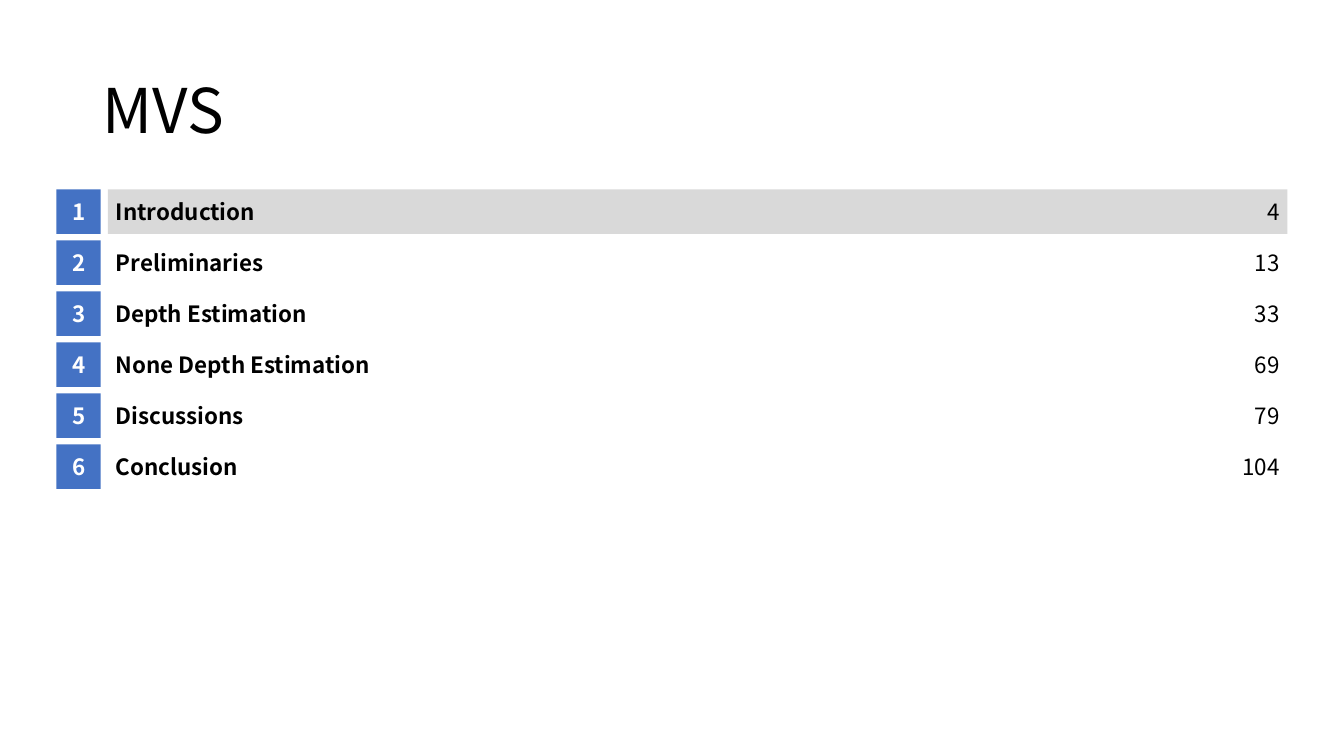
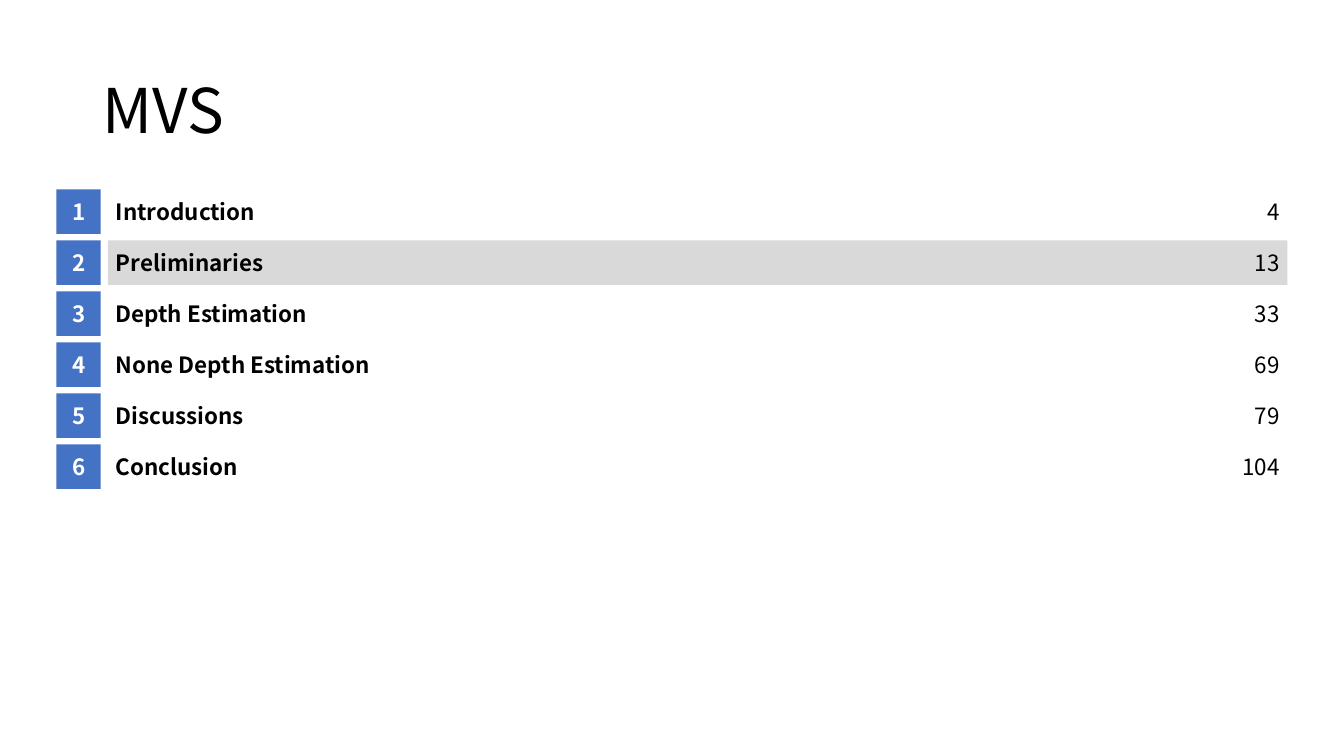
import pptx
import pptx.util
import pptx.dml.color
import pptx.enum.shapes
import pptx.enum.text
from dataclasses import dataclass

# Content
TITLE = "MVS"
SECTIONS = [
    ("Introduction", 4),
    ("Preliminaries", 13),
    ("Depth Estimation", 33),
    ("None Depth Estimation", 69),
    ("Discussions", 79),
    ("Conclusion", 104),
]
CURRENT_SECTIONS = [0, 1]  # highlighted row, one per slide


@dataclass(frozen=True)
class Theme:
    font: str = "Noto Sans CJK SC"
    text: str = "000000"
    inverse: str = "FFFFFF"
    accent: str = "4472C4"
    highlight: str = "D9D9D9"
    title_size: int = 44
    body_size: int = 16


THEME = Theme()
ALIGN = pptx.enum.text.PP_ALIGN

# Layout in inches
SLIDE_W, SLIDE_H = 13.33, 7.5
TITLE_BOX = (0.92, 0.4, 11.5, 1.45)
FIRST_TOP, LAST_TOP = 1.88, 4.41
PITCH = (LAST_TOP - FIRST_TOP) / (len(SECTIONS) - 1)
ROW_H = 0.44
NUMBER_LEFT = 0.56
BAR_LEFT, BAR_W = 1.07, 11.7
LABEL_W, PAGE_W = 3.97, 0.8
PAD = 0.08

# Text formats
TITLE_FORMAT = {"size": THEME.title_size, "color": THEME.text}
LABEL_FORMAT = {"size": THEME.body_size, "color": THEME.text, "bold": True}
PAGE_FORMAT = {"size": THEME.body_size, "color": THEME.text}
NUMBER_FORMAT = {"size": THEME.body_size, "color": THEME.inverse, "bold": True}


def rgb(value):
    return pptx.dml.color.RGBColor.from_string(value)


def inches(box):
    return [pptx.util.Inches(v) for v in box]


def write(sp, text, fmt, align=ALIGN.LEFT, insets=(0, 0, 0, 0), spacing=1.0):
    tf = sp.text_frame
    tf.word_wrap = True
    tf.vertical_anchor = pptx.enum.text.MSO_ANCHOR.MIDDLE
    for side, inset in zip(("left", "top", "right", "bottom"), insets):
        setattr(tf, f"margin_{side}", pptx.util.Inches(inset))
    p = tf.paragraphs[0]
    p.alignment, p.line_spacing = align, spacing
    r = p.add_run()
    r.text = text
    values = {"name": THEME.font, "size": pptx.util.Pt(fmt["size"]),
              "bold": fmt.get("bold", False)}
    for name, value in values.items():
        setattr(r.font, name, value)
    r.font.color.rgb = rgb(fmt["color"])


def add_text(slide, box, text, fmt, **layout):
    write(slide.shapes.add_textbox(*inches(box)), text, fmt, **layout)


def add_block(slide, box, color):
    sp = slide.shapes.add_shape(
        pptx.enum.shapes.MSO_SHAPE.RECTANGLE, *inches(box))
    sp.shadow.inherit = False
    sp.fill.solid()
    sp.fill.fore_color.rgb = rgb(color)
    sp.line.fill.background()
    return sp


def add_section(slide, index, current):
    label, page = SECTIONS[index]
    top = FIRST_TOP + index * PITCH
    if index == current:
        add_block(slide, (BAR_LEFT, top, BAR_W, ROW_H), THEME.highlight)
    page_left = BAR_LEFT + BAR_W - PAD - PAGE_W
    add_text(slide, (page_left, top, PAGE_W, ROW_H), str(page), PAGE_FORMAT,
             align=ALIGN.RIGHT)
    add_text(slide, (BAR_LEFT, top, LABEL_W, ROW_H), label, LABEL_FORMAT,
             insets=(PAD, 0, 0, 0))
    number = add_block(slide, (NUMBER_LEFT, top, ROW_H, ROW_H), THEME.accent)
    write(number, str(index + 1), NUMBER_FORMAT, align=ALIGN.CENTER)


def add_agenda(prs, current):
    slide = prs.slides.add_slide(prs.slide_layouts[6])
    add_text(slide, TITLE_BOX, TITLE, TITLE_FORMAT,
             insets=(0.1, 0.05, 0.1, 0.05), spacing=0.9)
    for index in range(len(SECTIONS)):
        add_section(slide, index, current)


def main():
    prs = pptx.Presentation()
    prs.slide_width, prs.slide_height = inches((SLIDE_W, SLIDE_H))
    for current in CURRENT_SECTIONS:
        add_agenda(prs, current)
    prs.save("out.pptx")


if __name__ == "__main__":
    main()
